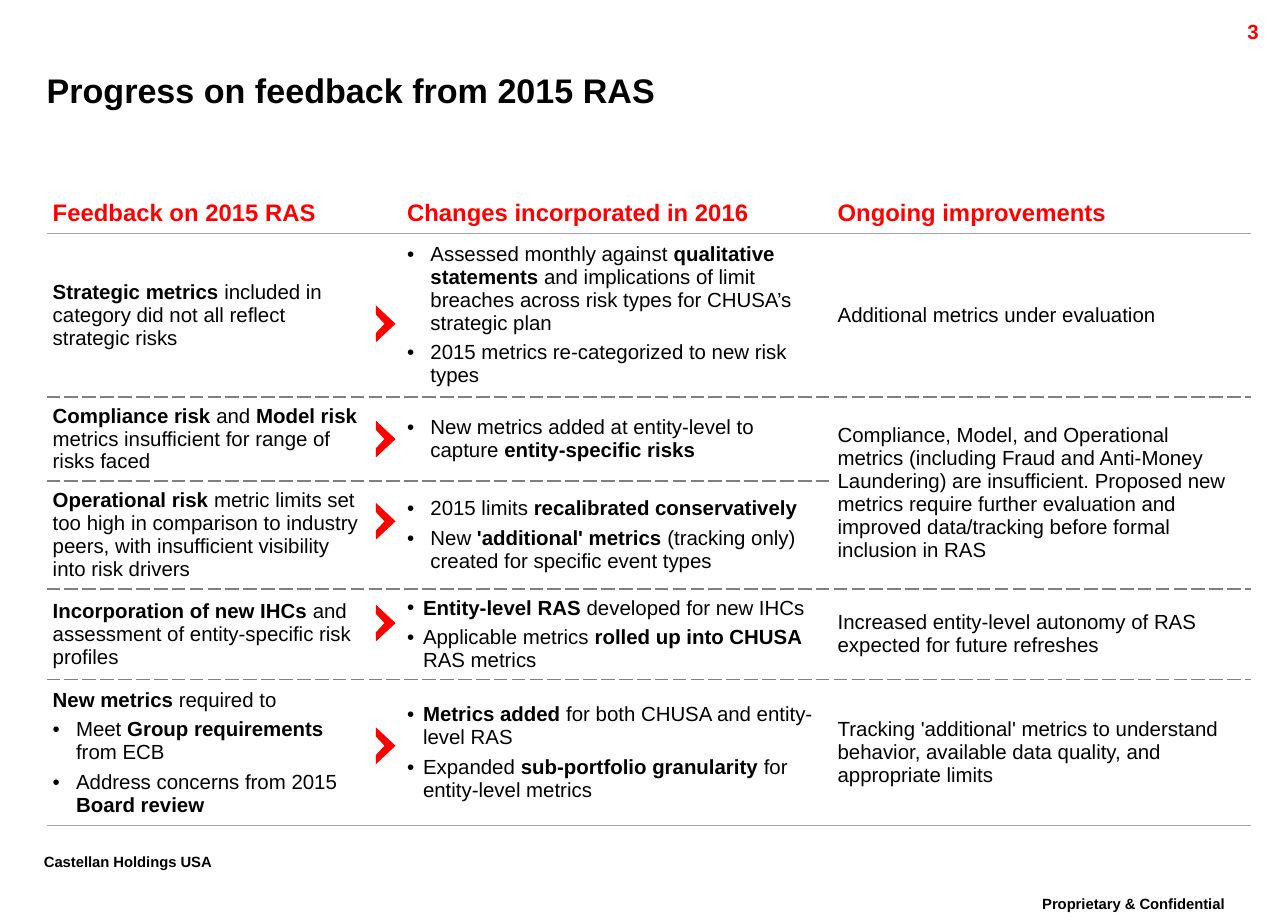
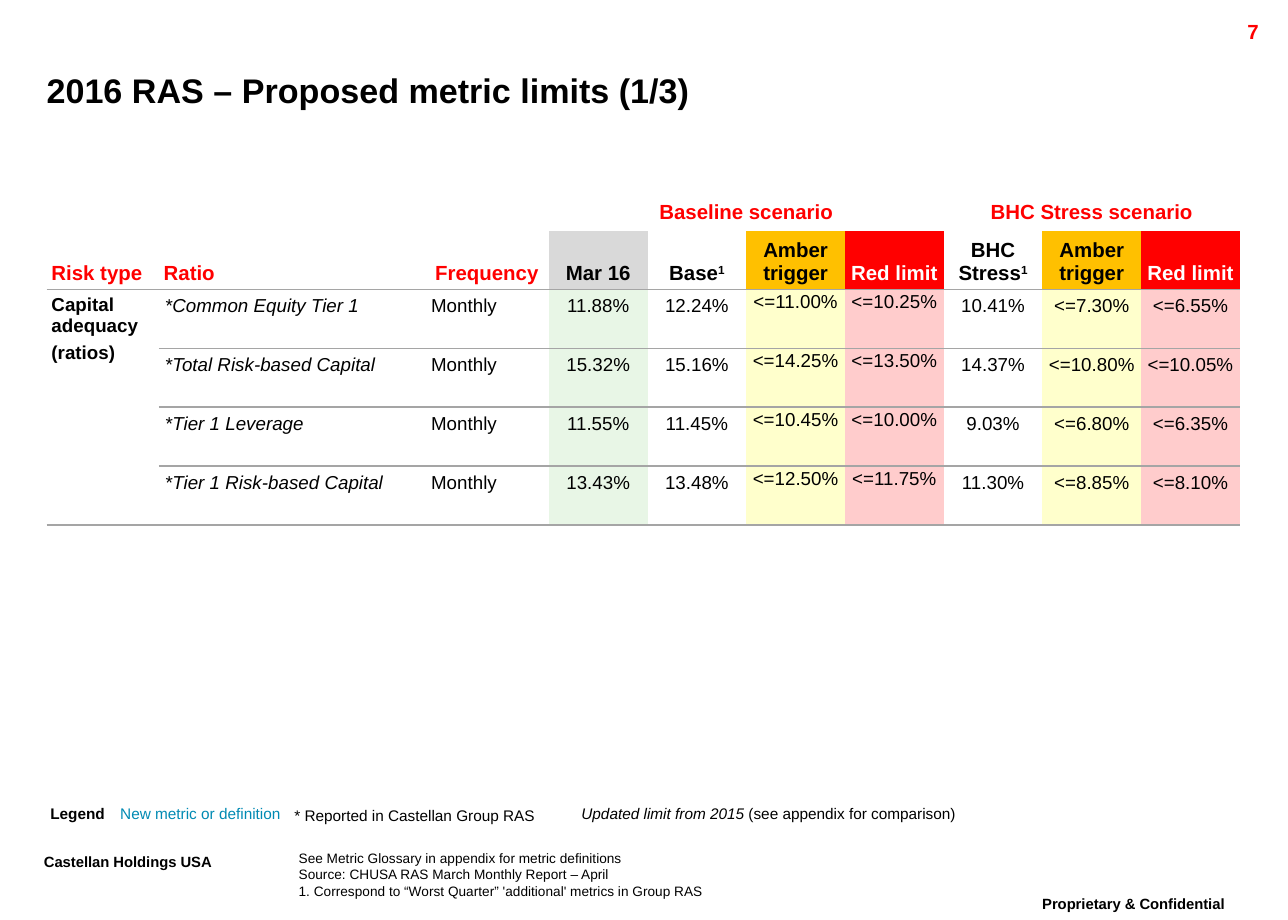
from dataclasses import dataclass
from itertools import groupby

from lxml.etree import SubElement as Sub
from pptx import Presentation
from pptx.dml.color import RGBColor as RGB
from pptx.enum.text import MSO_ANCHOR as Anchor, PP_ALIGN as Align
from pptx.oxml.ns import qn
from pptx.util import Inches, Pt


@dataclass(frozen=True)
class Theme:
    font: str = "Arial"
    ink: str = "000000"
    paper: str = "FFFFFF"
    red: str = "FF0000"
    amber: str = "FFC000"
    teal: str = "008AB3"
    grey: str = "D9D9D9"
    rule: str = "A5A5A5"
    dash: str = "808080"
    mint: str = "E8F6E6"
    cream: str = "FFFFCC"
    rose: str = "FFCCCC"
    title: int = 20
    head: int = 14
    foot: int = 15
    body: int = 12
    cell: int = 11
    key: int = 9
    note: int = 8


T = Theme()
COLS, ROWS = 105, 75
WIDE, HIGH = Inches(10.5), Inches(7.5)
PLAIN = "{2D5ABB26-0587-4C30-8999-92F81FD0307C}"
MARKS = {"|": "bold", "_": "italic", "^": "raised"}
LEFT, MID, RIGHT = Align.LEFT, Align.CENTER, Align.RIGHT
TOP, CORE, BASE = Anchor.TOP, Anchor.MIDDLE, Anchor.BOTTOM


def gx(n):
    return round(WIDE * n / COLS)


def gy(n):
    return round(HIGH * n / ROWS)


def add_runs(par, text, size, color, bold):
    """Each mark in the text flips its style on or off."""
    flags = {"bold": bold, "italic": False, "raised": False}
    for mark, chars in groupby(text, lambda c: c if c in MARKS else ""):
        if mark:
            flags[MARKS[mark]] = not flags[MARKS[mark]]
            continue
        run = par.add_run()
        run.text = "".join(chars)
        look = {"name": T.font, "size": Pt(size),
                "bold": flags["bold"], "italic": flags["italic"]}
        for name, value in look.items():
            setattr(run.font, name, value)
        run.font.color.rgb = RGB.from_string(color)
        if flags["raised"]:
            run.font._element.set("baseline", "30000")


def add_dot(par, indent):
    props = par._p.get_or_add_pPr()
    props.set("marL", str(Inches(indent)))
    props.set("indent", str(-Inches(indent)))
    Sub(props, qn("a:buFont")).set("typeface", T.font)
    Sub(props, qn("a:buChar")).set("char", "•")


def write(frame, text, size, color=T.ink, bold=False, align=LEFT,
          gap=0, lead=None, indent=0.19):
    """One paragraph a line; a line that starts with a dot is a bullet."""
    for i, line in enumerate(text.split("\n")):
        par = frame.add_paragraph() if i else frame.paragraphs[0]
        look = {"alignment": align, "space_before": Pt(gap), "line_spacing": lead}
        for name, value in look.items():
            setattr(par, name, value)
        if line.startswith("• "):
            add_dot(par, indent)
            line = line[2:]
        add_runs(par, line, size, color, bold)
        if not line:
            Sub(par._p, qn("a:endParaRPr")).set("sz", str(size * 100))


def pad(item, left, top, right, low):
    for side, value in zip(("left", "top", "right", "bottom"),
                           (left, top, right, low)):
        setattr(item, "margin_" + side, Inches(value))


def label(slide, x, y, w, h, text, size, anchor=TOP, inset=True, **look):
    frame = slide.shapes.add_textbox(gx(x), gy(y), gx(w), gy(h)).text_frame
    frame.word_wrap = True
    frame.vertical_anchor = anchor
    if not inset:
        pad(frame, 0, 0, 0, 0)
    write(frame, text, size, **look)


def add_grid(slide, x, y, cols, rows):
    frame = slide.shapes.add_table(len(rows), len(cols), gx(x), gy(y),
                                   gx(sum(cols)), gy(sum(rows)))
    table = frame.table
    table.first_row = table.horz_banding = False
    table._tbl.tblPr.find(qn("a:tableStyleId")).text = PLAIN
    for col, w in zip(table.columns, cols):
        col.width = gx(w)
    for row, h in zip(table.rows, rows):
        row.height = gy(h)
    return table


def paint(cell, color):
    if color:
        cell.fill.solid()
        cell.fill.fore_color.rgb = RGB.from_string(color)
    else:
        cell.fill.background()


def underline(cell, color, width, dashed=False):
    props = cell._tc.get_or_add_tcPr()
    line = Sub(props, qn("a:lnB"))
    line.set("w", str(Pt(width)))
    Sub(Sub(line, qn("a:solidFill")), qn("a:srgbClr")).set("val", color)
    Sub(line, qn("a:prstDash")).set("val", "dash" if dashed else "solid")
    props.insert(0, line)


def arrow(slide, x, y):
    tip, notch, step = 1.6, 0.7, 0.75
    pts = [(0, 0), (0, step), (notch, 2 * step), (0, 3 * step),
           (0, 4 * step), (tip, 2 * step)]
    path = [(gx(x + dx), gy(y + dy)) for dx, dy in pts]
    build = slide.shapes.build_freeform(*path[0])
    build.add_line_segments(path[1:], close=True)
    shape = build.convert_to_shape()
    shape.shadow.inherit = False
    shape.fill.solid()
    shape.fill.fore_color.rgb = RGB.from_string(T.red)
    shape.line.fill.background()


def new_slide(deck, title, page):
    slide = deck.slides.add_slide(deck.slide_layouts[6])
    foot = {"size": T.foot, "bold": True, "lead": 0.86}
    label(slide, 81.5, 72.55, 21.8, 3.5, "^Proprietary & Confidential",
          align=MID, **foot)
    label(slide, 2.6, 69.1, 19.1, 3.5, "^Castellan Holdings USA", **foot)
    label(slide, 93.6, 1.1, 10, 2.4, page, T.body, color=T.red, bold=True,
          align=RIGHT)
    label(slide, 3.8, 4.9, 94.8, 4.8, title, T.title, CORE, False, bold=True)
    return slide


FEEDBACK = [
    ("Feedback on 2015 RAS", "Changes incorporated in 2016", "Ongoing improvements"),
    ("|Strategic metrics| included in category did not all reflect strategic risks",
     "• Assessed monthly against |qualitative statements| and implications of "
     "limit breaches across risk types for CHUSA’s strategic plan\n"
     "• 2015 metrics re-categorized to new risk types",
     "Additional metrics under evaluation"),
    ("|Compliance risk| and |Model risk| metrics insufficient for range of risks faced",
     "• New metrics added at entity-level to capture |entity-specific risks|",
     "Compliance, Model, and Operational metrics (including Fraud and Anti-Money "
     "Laundering) are insufficient. Proposed new metrics require further evaluation "
     "and improved data/tracking before formal inclusion in RAS"),
    ("|Operational risk| metric limits set too high in comparison to industry peers, "
     "with insufficient visibility into risk drivers",
     "• 2015 limits |recalibrated conservatively|\n"
     "• New |'additional' metrics| (tracking only) created for specific event types",
     ""),
    ("|Incorporation of new IHCs| and assessment of entity-specific risk profiles",
     "• |Entity-level RAS| developed for new IHCs\n"
     "• Applicable metrics |rolled up into CHUSA| RAS metrics",
     "Increased entity-level autonomy of RAS expected for future refreshes"),
    ("|New metrics| required to\n• Meet |Group requirements| from ECB\n"
     "• Address concerns from 2015 |Board review|",
     "• |Metrics added| for both CHUSA and entity-level RAS\n"
     "• Expanded |sub-portfolio granularity| for entity-level metrics",
     "Tracking 'additional' metrics to understand behavior, available data quality, "
     "and appropriate limits"),
]


def progress(deck):
    slide = new_slide(deck, "Progress on feedback from 2015 RAS", "3")
    table = add_grid(slide, 3.8, 15.7, [26.9, 1.9, 35.1, 34.2],
                     [3.3, 13.3, 6.85, 8.8, 7.4, 11.85])
    table.cell(2, 3).merge(table.cell(3, 3))
    last = len(FEEDBACK) - 1
    for r, (issue, change, plan) in enumerate(FEEDBACK):
        look = {"size": T.body, "gap": 4}
        if r == 0:
            look = {"size": T.head, "color": T.red, "bold": True}
        for c, text in enumerate((issue, "", change, plan)):
            cell = table.cell(r, c)
            pad(cell, 0.05, 0.04, 0.11, 0.04)
            cell.vertical_anchor = CORE
            write(cell.text_frame, text, indent=0.13 if r > 3 and c == 2 else 0.19,
                  **look)
            paint(cell, None)
            if r in (0, last):
                underline(cell, T.rule, 0.75)
            else:
                underline(cell, T.dash, 1, True)
    for y in (24.9, 34.3, 41, 49.3, 59.3):
        arrow(slide, 30.65, y)


HEADS = ["Risk type", "Ratio", "Frequency", "Mar 16", "Base^1", "Amber trigger",
         "Red limit", "BHC Stress^1", "Amber trigger", "Red limit"]
LIMITS = [
    ("Common Equity Tier 1", "11.88%", "12.24%", "<=11.00%", "<=10.25%",
     "10.41%", "<=7.30%", "<=6.55%"),
    ("Total Risk-based Capital", "15.32%", "15.16%", "<=14.25%", "<=13.50%",
     "14.37%", "<=10.80%", "<=10.05%"),
    ("Tier 1 Leverage", "11.55%", "11.45%", "<=10.45%", "<=10.00%",
     "9.03%", "<=6.80%", "<=6.35%"),
    ("Tier 1 Risk-based Capital", "13.43%", "13.48%", "<=12.50%", "<=11.75%",
     "11.30%", "<=8.85%", "<=8.10%"),
]
TOPS = {3: T.grey, 5: T.amber, 6: T.red, 8: T.amber, 9: T.red}
TINTS = {3: T.mint, 5: T.cream, 6: T.rose, 8: T.cream, 9: T.rose}


def limits(deck):
    slide = new_slide(deck, "2016 RAS – Proposed metric limits (1/3)", "7")
    table = add_grid(slide, 3.8, 16, [9.15, 21.7, 10.1] + [8.05] * 7,
                     [2.75] + [4.8] * 5)
    for r, c, low, end in ((0, 3, 0, 6), (0, 7, 0, 9), (2, 0, 5, 0)):
        table.cell(r, c).merge(table.cell(low, end))

    bands = {3: "Baseline scenario", 7: "BHC Stress scenario"}
    grid = [[bands.get(c, "") for c in range(len(HEADS))], HEADS]
    for i, (ratio, *values) in enumerate(LIMITS):
        risk = "" if i else "Capital adequacy\n(ratios)"
        grid.append([risk, f"_*{ratio}", "Monthly", *values])

    for r, row in enumerate(grid):
        for c, text in enumerate(row):
            cell = table.cell(r, c)
            look = {"size": T.cell, "align": MID if c > 2 else LEFT}
            if r < 2:
                color = T.ink if r and c > 2 else T.red
                if r and TOPS.get(c) == T.red:
                    color = T.paper
                look = {"size": T.body, "bold": True, "color": color,
                        "align": MID if c > 1 else LEFT}
            elif c == 0:
                look.update(bold=True, gap=4)
            elif c in (5, 6):
                look["lead"] = Pt(10)
            pad(cell, *[0.04 if r < 2 or c == 0 else 0.05] * 4)
            cell.vertical_anchor = BASE if r == 1 else TOP
            write(cell.text_frame, text, **look)
            paint(cell, (TOPS if r == 1 else TINTS).get(c) if r else None)
            if r:
                underline(cell, T.rule, 1)

    label(slide, 24.35, 69.3, 54.7, 4,
          "See Metric Glossary in appendix for metric definitions\n"
          "Source: CHUSA RAS March Monthly Report – April\n"
          "1. Correspond to “Worst Quarter” 'additional' metrics in Group RAS",
          T.note, inset=False)
    keys = [(4.1, 65.8, 6.5, "|Legend", T.ink, LEFT),
            (9.8, 65.8, 13.8, "New metric or definition", T.teal, LEFT),
            (24, 65.9, 21, "* Reported in Castellan Group RAS", T.ink, LEFT),
            (45.1, 65.8, 35.1,
             "_Updated limit from 2015 _(see appendix for comparison)", T.ink, MID)]
    for x, y, w, text, color, align in keys:
        label(slide, x, y, w, 1.3, text, T.key, inset=False, color=color,
              align=align, lead=0.86)


def main():
    deck = Presentation()
    deck.slide_width, deck.slide_height = WIDE, HIGH
    progress(deck)
    limits(deck)
    deck.save("out.pptx")


if __name__ == "__main__":
    main()
